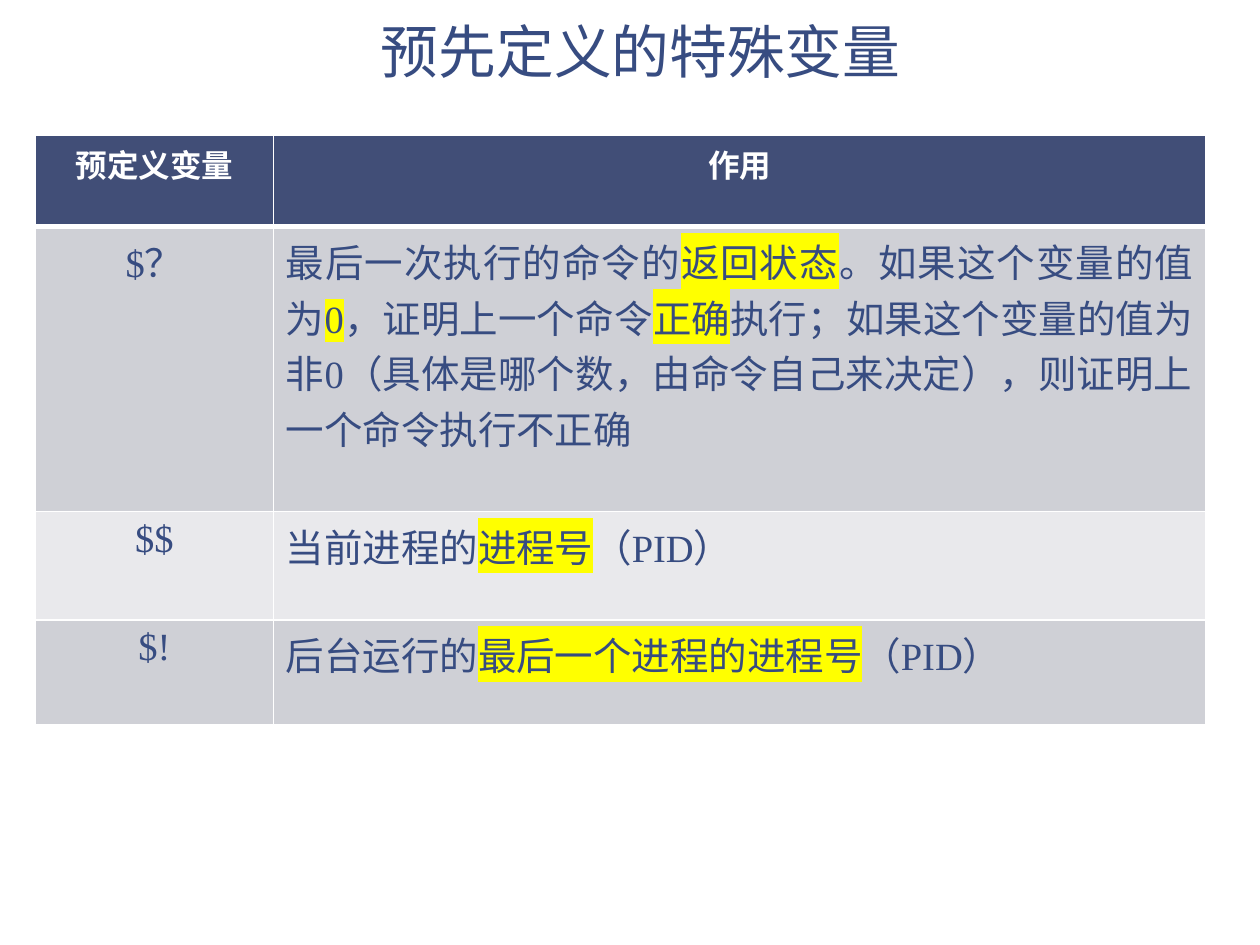
from lxml.etree import SubElement
from pptx import Presentation
from pptx.dml.color import RGBColor
from pptx.enum.text import MSO_ANCHOR, PP_ALIGN
from pptx.oxml.ns import qn
from pptx.util import Inches, Pt

NAVY = RGBColor(0x37, 0x4C, 0x81)
HEADER = RGBColor(0x41, 0x4E, 0x77)
BAND_DARK = RGBColor(0xCF, 0xD0, 0xD6)
BAND_LIGHT = RGBColor(0xE9, 0xE9, 0xEC)
WHITE = RGBColor(0xFF, 0xFF, 0xFF)
YELLOW = RGBColor(0xFF, 0xFF, 0x00)
LATIN = "Times New Roman"
CJK = "Noto Sans CJK SC"

TITLE = "预先定义的特殊变量"
COLUMN_WIDTHS = (1.89, 7.4)
ROW_HEIGHTS = (0.73, 2.26, 0.86, 0.83)

# Each cell is a list of runs; every second run is highlighted
ROWS = [
    (["预定义变量"], ["作用"]),
    (["$？"],
     ["最后一次执行的命令的", "返回状态", "。如果这个变量的值为", "0",
      "，证明上一个命令", "正确",
      "执行；如果这个变量的值为非0（具体是哪个数，由命令自己来决定），则证明上一个命令执行不正确"]),
    (["$$"], ["当前进程的", "进程号", "（PID）"]),
    (["$!"], ["后台运行的", "最后一个进程的进程号", "（PID）"]),
]


def add_run(paragraph, text, size, color, latin=LATIN, bold=False, marked=False):
    run = paragraph.add_run()
    run.text = text
    font = run.font
    font.size, font.bold = Pt(size), bold
    font.color.rgb = color
    properties = run._r.get_or_add_rPr()
    if marked:
        highlight = SubElement(properties, qn("a:highlight"))
        SubElement(highlight, qn("a:srgbClr"), val=str(YELLOW))
    font.name = latin
    SubElement(properties, qn("a:ea"), typeface=CJK)


def add_title(slide):
    box = slide.shapes.add_textbox(Inches(0.92), Inches(0.08), Inches(8.33), Inches(0.67))
    frame = box.text_frame
    frame.word_wrap = True
    frame.vertical_anchor = MSO_ANCHOR.BOTTOM
    frame.margin_left = frame.margin_right = Inches(0.13)
    frame.margin_top = frame.margin_bottom = Inches(0.07)
    heading = frame.paragraphs[0]
    heading.alignment = PP_ALIGN.CENTER
    heading.line_spacing = 0.85
    add_run(heading, TITLE, 33, NAVY, latin=CJK)


def set_borders(cell, top, bottom):
    properties = cell._tc.get_or_add_tcPr()
    for side, points in (("L", 1), ("R", 1), ("T", top), ("B", bottom)):
        line = SubElement(properties, qn(f"a:ln{side}"), w=str(Pt(points)))
        fill = SubElement(line, qn("a:solidFill"))
        SubElement(fill, qn("a:srgbClr"), val=str(WHITE))


def fill_cell(cell, runs, row, column):
    is_header = row == 0
    # The rule under the header is the only thick one
    set_borders(cell, top=3 if row == 1 else 1, bottom=3 if is_header else 1)
    cell.fill.solid()
    cell.fill.fore_color.rgb = HEADER if is_header else BAND_DARK if row % 2 else BAND_LIGHT
    paragraph = cell.text_frame.paragraphs[0]
    centred = is_header or column == 0
    paragraph.alignment = PP_ALIGN.CENTER if centred else PP_ALIGN.JUSTIFY
    for index, text in enumerate(runs):
        add_run(paragraph, text, 18 if is_header else 22, WHITE if is_header else NAVY,
                bold=is_header, marked=index % 2 == 1)


def add_variable_table(slide):
    table = slide.shapes.add_table(
        len(ROW_HEIGHTS), len(COLUMN_WIDTHS), Inches(0.28), Inches(1.07),
        Inches(sum(COLUMN_WIDTHS)), Inches(sum(ROW_HEIGHTS))).table
    for column, width in zip(table.columns, COLUMN_WIDTHS):
        column.width = Inches(width)
    for row, height in zip(table.rows, ROW_HEIGHTS):
        row.height = Inches(height)
    for row, cells in enumerate(ROWS):
        for column, runs in enumerate(cells):
            fill_cell(table.cell(row, column), runs, row, column)


def main():
    deck = Presentation()
    deck.slide_width, deck.slide_height = Inches(10), Inches(7.5)
    slide = deck.slides.add_slide(deck.slide_layouts[6])
    slide.background.fill.solid()
    slide.background.fill.fore_color.rgb = WHITE
    add_title(slide)
    add_variable_table(slide)
    deck.save("out.pptx")


if __name__ == "__main__":
    main()
